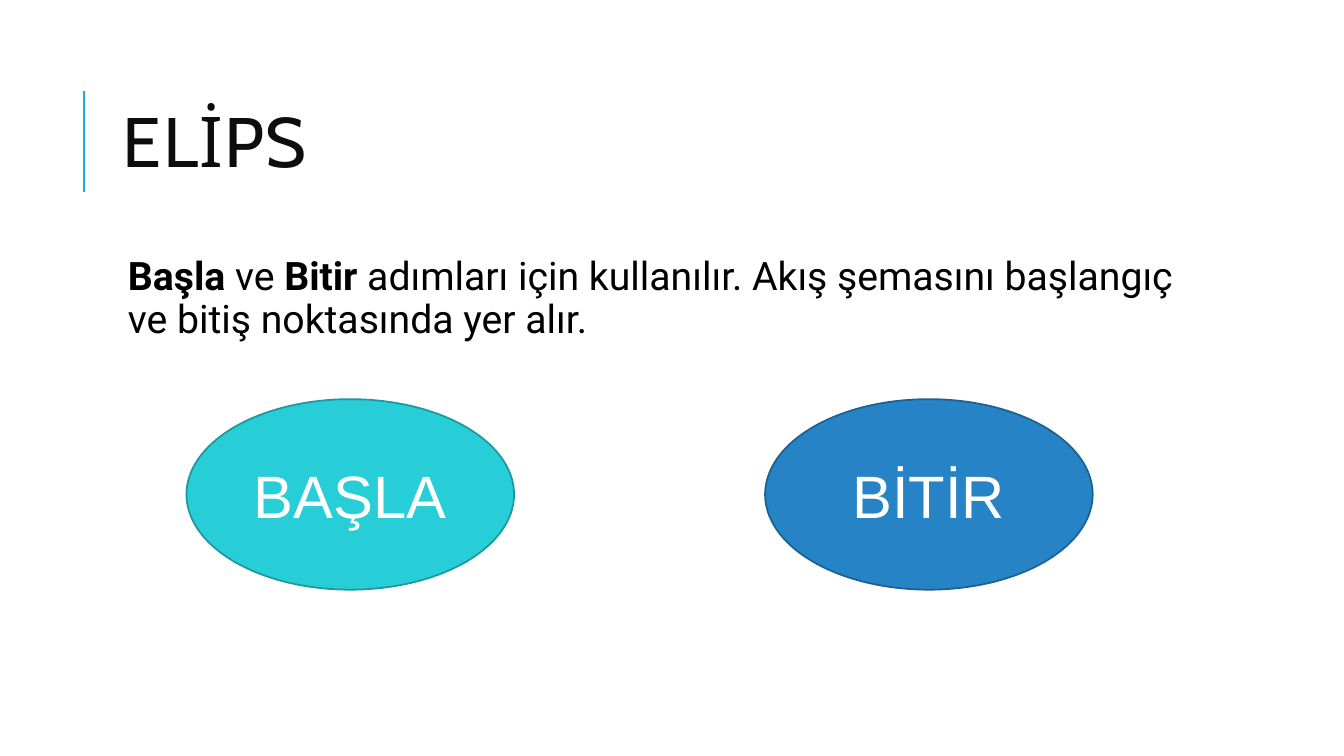
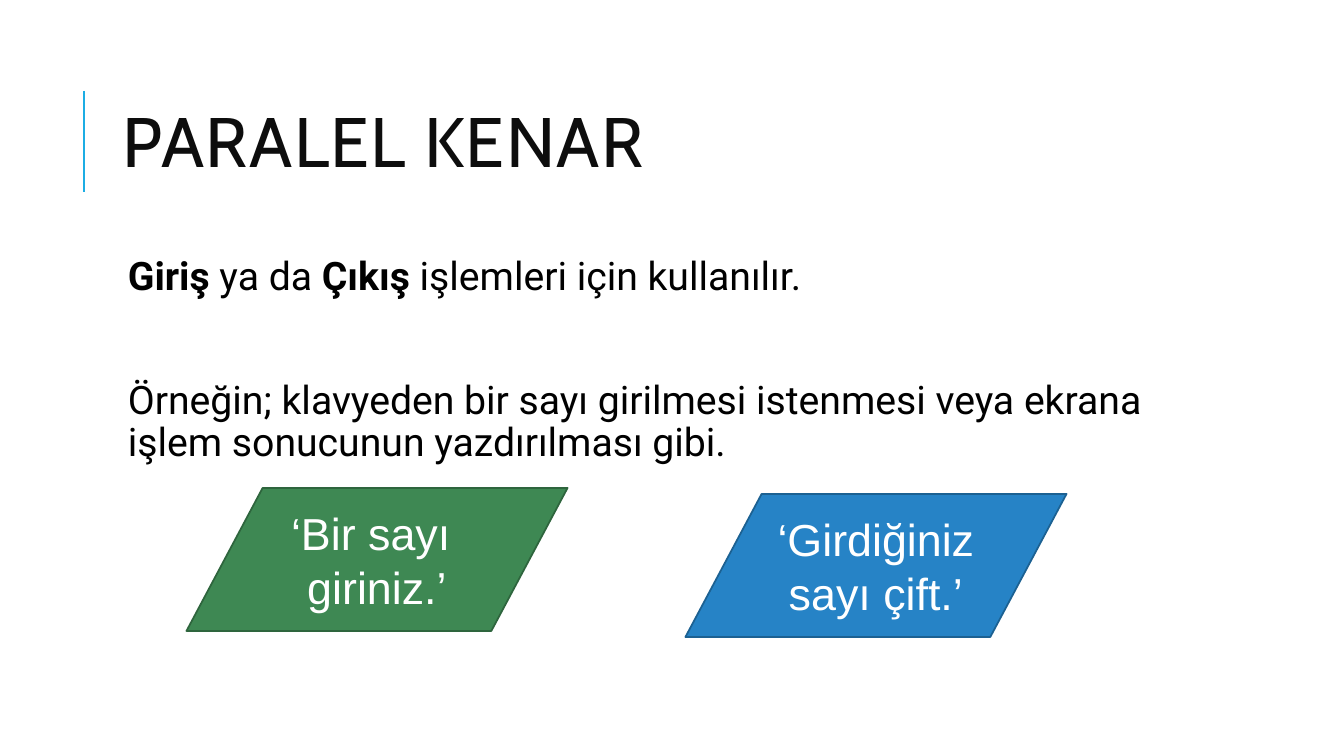
"""Build two slides on the ellipse and parallelogram flowchart symbols."""
from dataclasses import dataclass
from typing import Any

from lxml.etree import SubElement
from pptx import Presentation
from pptx.dml.color import RGBColor
from pptx.enum.shapes import MSO_CONNECTOR as Connector, MSO_SHAPE as Preset
from pptx.enum.text import MSO_ANCHOR as Anchor, MSO_AUTO_SIZE as AutoSize, PP_ALIGN as Align
from pptx.oxml.ns import qn
from pptx.slide import Slide, SlideLayout
from pptx.util import Pt

COLORS = {
    "rule": "1CADE4", "title": "0D0D0D", "body": "000000", "label": "FFFFFF",
    "turquoise": "27CED7", "turquoise edge": "1D989F",
    "blue": "2683C6", "blue edge": "1C6192",
    "green": "3E8853", "green edge": "2E653D",
}
TITLE_FONT = {"name": "Cabin", "size": Pt(50), "bold": False}
BODY_FONT = {"name": "Roboto", "size": Pt(28)}
TITLE_PARA = {"alignment": Align.LEFT, "line_spacing": 0.8}
BODY_PARA = {"alignment": Align.LEFT, "line_spacing": 0.9, "space_after": Pt(2)}
TITLE_BOX = {"left": Pt(80.6), "top": Pt(46), "width": Pt(765.4), "height": Pt(118)}
BODY_BOX = {"left": Pt(80.6), "top": Pt(180), "width": Pt(765.4), "height": Pt(316.8)}
TITLE_FRAME = {"vertical_anchor": Anchor.MIDDLE, "auto_size": AutoSize.NONE}
BODY_FRAME = {"vertical_anchor": Anchor.TOP, "auto_size": AutoSize.NONE} | dict.fromkeys(
    ("margin_left", "margin_top", "margin_right", "margin_bottom"), Pt(3.6))
LABEL_FRAME = {"vertical_anchor": Anchor.MIDDLE, "word_wrap": True}


@dataclass(frozen=True)
class Span:
    text: str
    bold: bool = False


@dataclass(frozen=True)
class BodyPara:
    spans: tuple[Span, ...]
    space_before: float = 12


@dataclass(frozen=True)
class Symbol:
    label: str
    color: str
    left: float
    top: float


@dataclass(frozen=True)
class SymbolStyle:
    preset: Preset
    width: float
    height: float
    size: float


@dataclass(frozen=True)
class Topic:
    title: str
    paras: tuple[BodyPara, ...]
    style: SymbolStyle
    symbols: tuple[Symbol, ...]


ELLIPSE = SymbolStyle(Preset.OVAL, 234, 136.1, 42.7)
PARALLELOGRAM = SymbolStyle(Preset.FLOWCHART_DATA, 272.2, 102.2, 32)

TOPICS = (
    Topic(
        "ELİPS",
        (BodyPara((
            Span("Başla", True), Span(" ve "), Span("Bitir", True),
            Span(" adımları için kullanılır. Akış şemasını başlangıç ve bitiş noktasında yer alır."),
        )),),
        ELLIPSE,
        (Symbol("BAŞLA", "turquoise", 133.2, 285.1), Symbol("BİTİR", "blue", 546.5, 285.1)),
    ),
    Topic(
        "PARALEL KENAR",
        (
            BodyPara((
                Span("Giriş", True), Span(" ya da "), Span("Çıkış", True),
                Span(" işlemleri için kullanılır."),
            )),
            BodyPara((
                Span("Örneğin; klavyeden bir sayı girilmesi istenmesi veya ekrana "
                     "işlem sonucunun yazdırılması gibi."),
            ), 56),
        ),
        PARALLELOGRAM,
        (Symbol("‘Bir sayı \vgiriniz.’", "green", 133.2, 348.5),
         Symbol("‘Girdiğiniz sayı çift.’", "blue", 489.6, 352.8)),
    ),
)


def apply(target: Any, formats: dict[str, Any]) -> None:
    for name, value in formats.items():
        setattr(target, name, value)


def rgb(name: str) -> RGBColor:
    return RGBColor.from_string(COLORS[name])


def set_font(font: Any, formats: dict[str, Any], color: str) -> None:
    apply(font, formats)
    font.color.rgb = rgb(color)


def prepare_layout(layout: SlideLayout) -> None:
    for index, box, frame in ((0, TITLE_BOX, TITLE_FRAME), (1, BODY_BOX, BODY_FRAME)):
        holder = layout.placeholders.get(idx=index) if index else layout.placeholders[0]
        apply(holder, box)
        apply(holder.text_frame, frame)


def add_shared_rule(page: Slide) -> None:
    rule = page.shapes.add_connector(Connector.STRAIGHT, Pt(60), Pt(65), Pt(60), Pt(137))
    rule.line.color.rgb = rgb("rule")
    rule.line.width = Pt(1.5)
    SubElement(rule.element.spPr, qn("a:effectLst"))
    page.slide_layout.shapes.element.append(rule.element)


def fill_title(page: Slide, text: str) -> None:
    para = page.shapes.title.text_frame.paragraphs[0]
    apply(para, TITLE_PARA)
    span = para.add_run()
    span.text = text
    set_font(span.font, TITLE_FONT, "title")
    span.font._element.set("spc", "100")


def fill_body(page: Slide, paras: tuple[BodyPara, ...]) -> None:
    frame = page.placeholders[1].text_frame
    for number, content in enumerate(paras):
        para = frame.add_paragraph() if number else frame.paragraphs[0]
        apply(para, BODY_PARA | {"space_before": Pt(content.space_before)})
        properties = para._p.get_or_add_pPr()
        properties.set("marL", str(Pt(7.2)))
        properties.set("indent", "0")
        SubElement(properties, qn("a:buNone"))
        for part in content.spans:
            span = para.add_run()
            span.text = part.text
            set_font(span.font, BODY_FONT | {"bold": part.bold}, "body")


def add_symbol(page: Slide, symbol: Symbol, style: SymbolStyle) -> None:
    shape = page.shapes.add_shape(
        style.preset, Pt(symbol.left), Pt(symbol.top), Pt(style.width), Pt(style.height))
    shape.shadow.inherit = False
    shape.fill.solid()
    shape.fill.fore_color.rgb = rgb(symbol.color)
    shape.line.color.rgb = rgb(f"{symbol.color} edge")
    shape.line.width = Pt(1.25)
    apply(shape.text_frame, LABEL_FRAME)
    para = shape.text_frame.paragraphs[0]
    para.text = symbol.label
    para.alignment = Align.CENTER
    for span in para.runs:
        set_font(span.font, {"name": "Arial", "size": Pt(style.size)}, "label")


def main() -> None:
    deck = Presentation()
    apply(deck, {"slide_width": Pt(960), "slide_height": Pt(540)})
    layout = deck.slide_layouts[1]
    prepare_layout(layout)
    for topic in TOPICS:
        page = deck.slides.add_slide(layout)
        fill_title(page, topic.title)
        fill_body(page, topic.paras)
        for symbol in topic.symbols:
            add_symbol(page, symbol, topic.style)
    add_shared_rule(deck.slides[0])
    deck.save("out.pptx")


if __name__ == "__main__":
    main()
